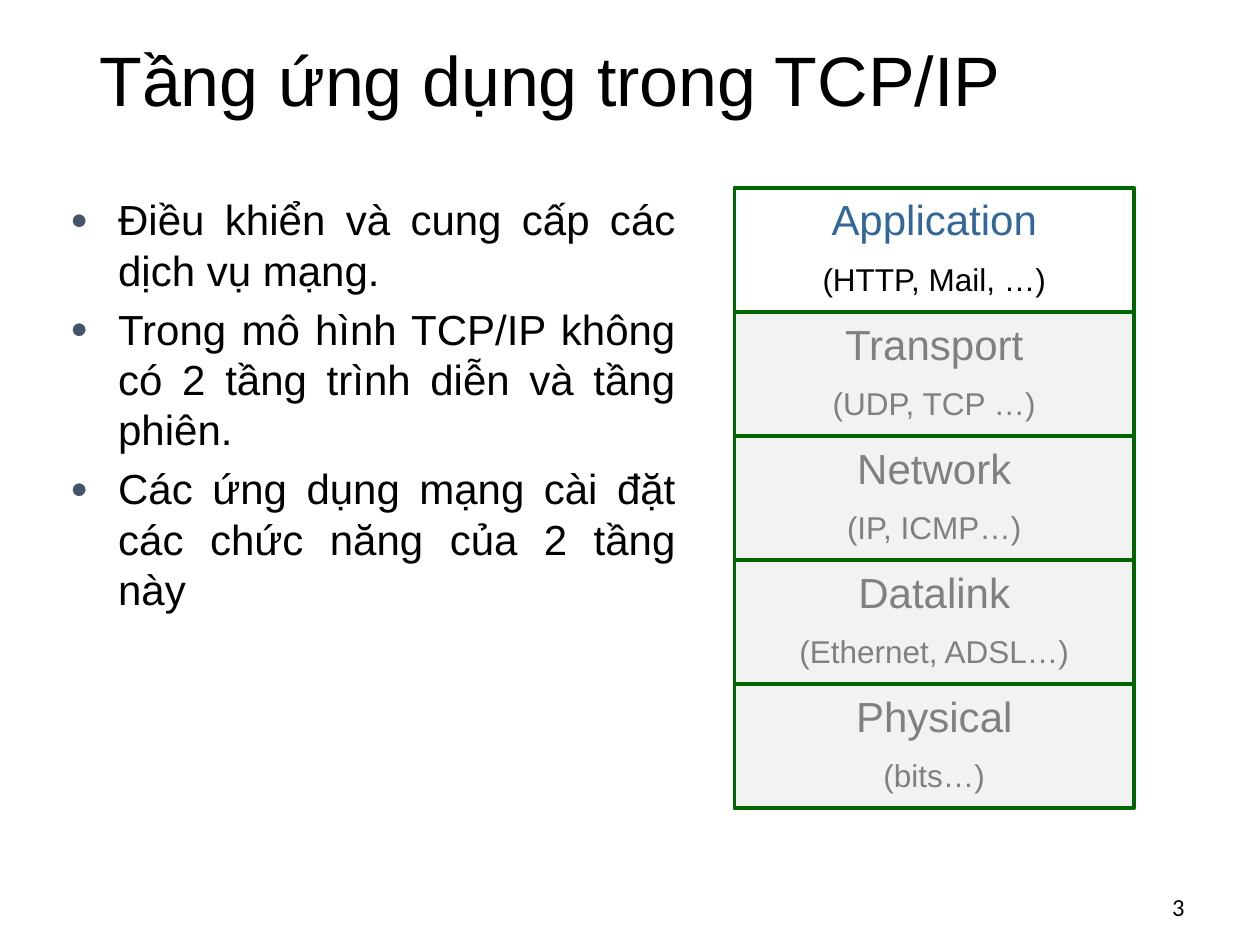
from lxml import etree
from pptx import Presentation
from pptx.dml.color import RGBColor
from pptx.enum.shapes import MSO_SHAPE
from pptx.enum.text import MSO_ANCHOR as Anchor, PP_ALIGN as Align
from pptx.oxml.ns import qn
from pptx.util import Inches, Pt

TITLE = "Tầng ứng dụng trong TCP/IP"
PAGE_NUMBER = "3"
POINTS = [
    "Điều khiển và cung cấp các dịch vụ mạng.",
    "Trong mô hình TCP/IP không có 2 tầng trình diễn và tầng phiên.",
    "Các ứng dụng mạng cài đặt các chức năng của 2 tầng này",
]
LAYERS = [
    ("Application", "(HTTP, Mail, …)"),
    ("Transport", "(UDP, TCP …)"),
    ("Network", "(IP, ICMP…)"),
    ("Datalink", "(Ethernet, ADSL…)"),
    ("Physical", "(bits…)"),
]
ACTIVE_LAYER = "Application"

BLACK, BLUE, GRAY = "000000", "336699", "808080"
PALE, GREEN, BULLET = "F2F2F2", "006600", "44546A"

CONTENT_TOP = 1.49
STACK_LEFT, STACK_WIDTH, LAYER_HEIGHT = 5.83, 3.17, 0.985
INDENT = 0.38


def color(hex_code):
    return RGBColor.from_string(hex_code)


def write(frame, text, size, hex_code=BLACK, font="Arial", align=Align.LEFT,
          before=0, line_spacing=None):
    """Add a paragraph, using the empty first one if there is one."""
    paragraph = frame.paragraphs[0]
    if paragraph.runs:
        paragraph = frame.add_paragraph()
    paragraph.alignment = align
    paragraph.space_before = Pt(before)
    if line_spacing:
        paragraph.line_spacing = line_spacing
    run = paragraph.add_run()
    run.text = text
    run.font.size, run.font.name = Pt(size), font
    run.font.color.rgb = color(hex_code)
    return paragraph


def add_frame(slide, left, top, width, height, anchor=Anchor.TOP):
    frame = slide.shapes.add_textbox(*map(Inches, (left, top, width, height))).text_frame
    frame.word_wrap = True
    frame.vertical_anchor = anchor
    return frame


def add_bullet(paragraph):
    properties = paragraph._p.get_or_add_pPr()
    properties.set("marL", str(Inches(INDENT)))
    properties.set("indent", str(-Inches(INDENT)))
    bullet_color = etree.SubElement(properties, qn("a:buClr"))
    etree.SubElement(bullet_color, qn("a:srgbClr"), val=BULLET)
    etree.SubElement(properties, qn("a:buSzPct"), val="70000")
    etree.SubElement(properties, qn("a:buFont"), typeface="Arial")
    etree.SubElement(properties, qn("a:buChar"), char="●")


def add_layer(slide, row, name, protocols):
    top = CONTENT_TOP + row * LAYER_HEIGHT
    layer = slide.shapes.add_shape(
        MSO_SHAPE.RECTANGLE,
        *map(Inches, (STACK_LEFT, top, STACK_WIDTH, LAYER_HEIGHT)))
    layer.shadow.inherit = False
    layer.line.color.rgb = color(GREEN)
    layer.line.width = Pt(2.25)
    active = name == ACTIVE_LAYER
    if active:
        layer.fill.background()
    else:
        layer.fill.solid()
        layer.fill.fore_color.rgb = color(PALE)
    frame = layer.text_frame
    frame.word_wrap = True
    frame.vertical_anchor = Anchor.TOP
    write(frame, name, 24, BLUE if active else GRAY, align=Align.CENTER)
    write(frame, protocols, 18, BLACK if active else GRAY, align=Align.CENTER, before=9)


def main():
    deck = Presentation()
    deck.slide_width, deck.slide_height = Inches(10), Inches(7.5)
    slide = deck.slides.add_slide(deck.slide_layouts[6])

    title = add_frame(slide, 0.69, 0.26, 8.62, 0.81, Anchor.MIDDLE)
    write(title, TITLE, 40, line_spacing=0.9)
    number = add_frame(slide, 7.17, 6.95, 2.33, 0.5, Anchor.MIDDLE)
    write(number, PAGE_NUMBER, 14, font="Calibri", align=Align.RIGHT)

    for row, (name, protocols) in enumerate(LAYERS):
        add_layer(slide, row, name, protocols)

    body = add_frame(slide, 0.46, CONTENT_TOP, 5, 5.34)
    for point in POINTS:
        add_bullet(write(body, point, 24, align=Align.JUSTIFY, before=4.8))

    deck.save("out.pptx")


if __name__ == "__main__":
    main()
